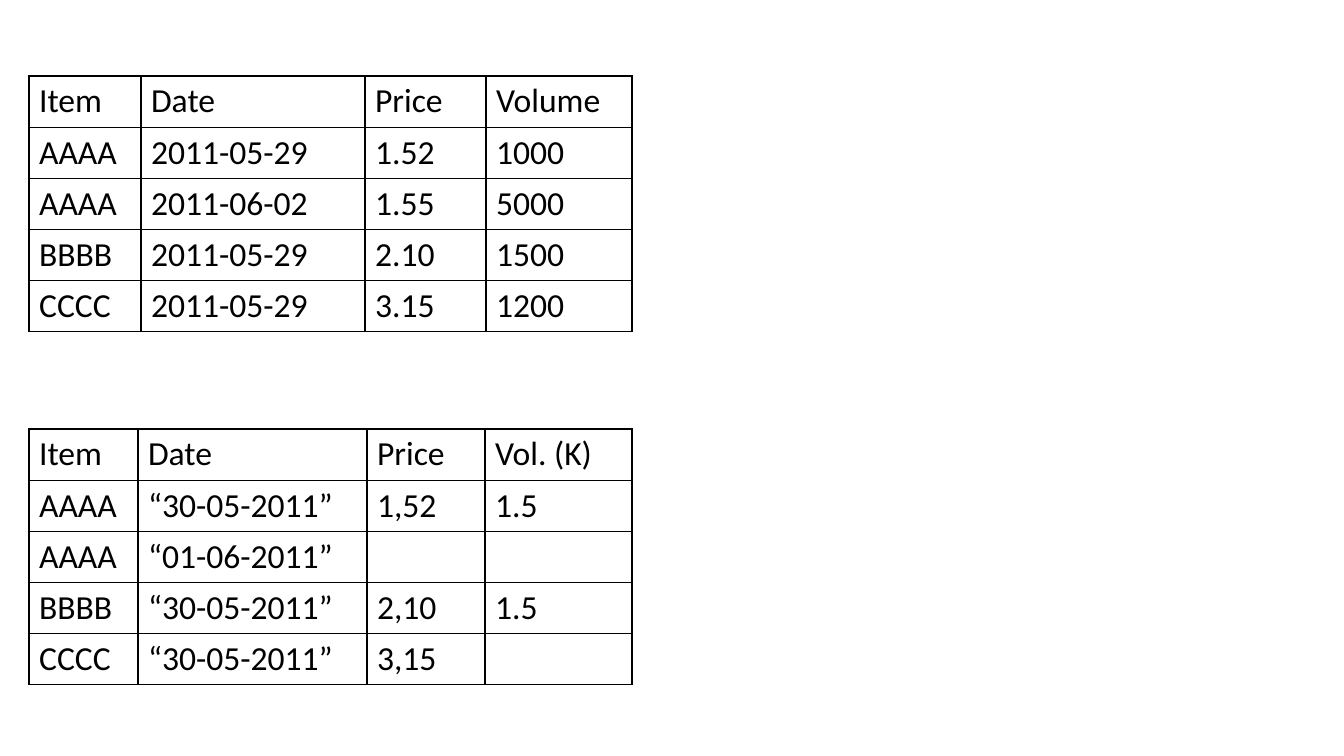
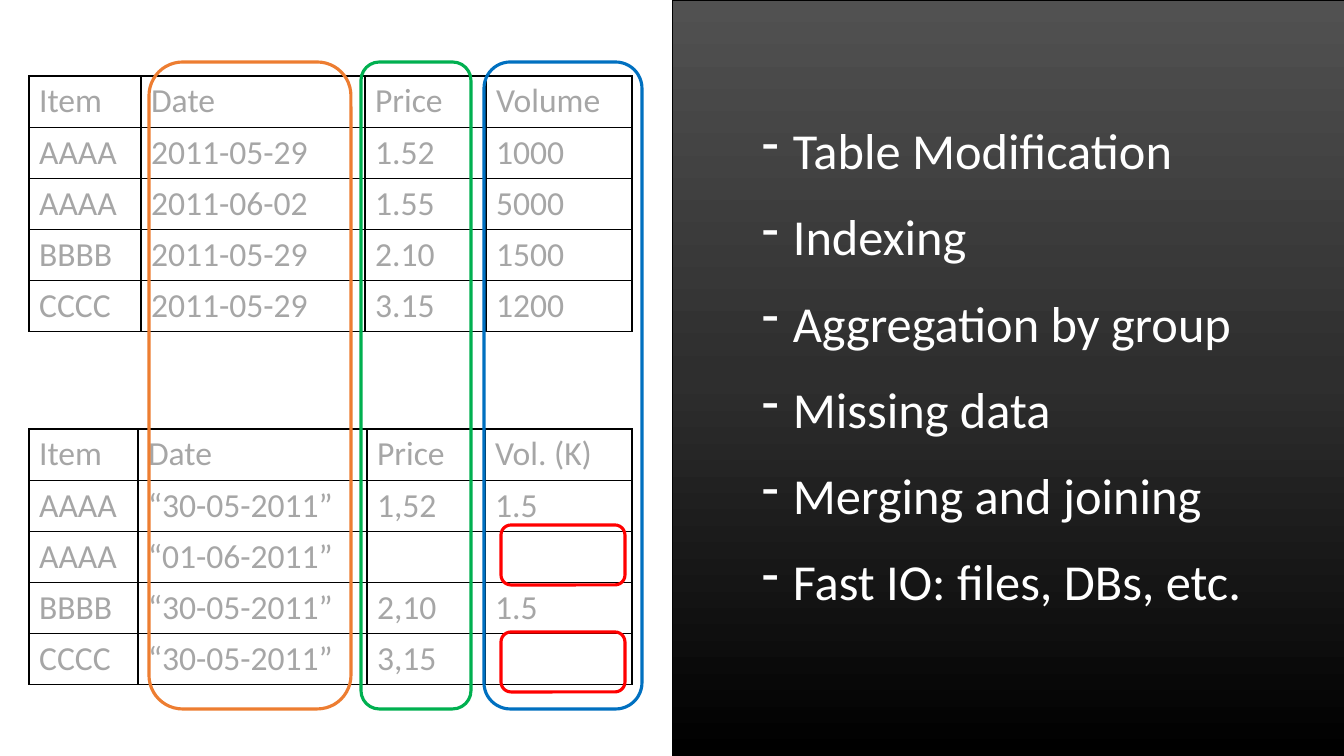
from copy import deepcopy

from pptx import Presentation
from pptx.dml.color import RGBColor
from pptx.enum.shapes import MSO_SHAPE as Shape
from pptx.enum.text import MSO_ANCHOR as Anchor
from pptx.oxml.ns import qn
from pptx.oxml.xmlchemy import OxmlElement as new_element
from pptx.util import Emu, Pt

# Colours
BLACK = RGBColor(0x00, 0x00, 0x00)
WHITE = RGBColor(0xFF, 0xFF, 0xFF)
FADED = RGBColor(0xA6, 0xA6, 0xA6)
ORANGE = RGBColor(0xED, 0x7D, 0x31)
GREEN = RGBColor(0x00, 0xB0, 0x50)
BLUE = RGBColor(0x00, 0x70, 0xC0)
RED = RGBColor(0xFF, 0x00, 0x00)
PANEL_STOPS = [
    (0, RGBColor(0x51, 0x51, 0x51)),
    (0.5, RGBColor(0x2E, 0x2E, 0x2E)),
    (1, BLACK),
]

FONT = "Calibri"
WIDTH, HEIGHT = 1344, 756
TABLE_LEFT, ROW_HEIGHT = 29, 51


def px(pixels):
    return Emu(round(pixels * 914400 / 100.8))


def write(paragraph, text, size=24, color=BLACK):
    run = paragraph.add_run()
    run.text = text
    run.font.name = FONT
    run.font.size = Pt(size)
    run.font.color.rgb = color


def border_cell(cell, color=BLACK, width=1):
    properties = cell._tc.get_or_add_tcPr()
    for index, side in enumerate(("a:lnL", "a:lnR", "a:lnT", "a:lnB")):
        line = new_element(side)
        line.set("w", str(Pt(width)))
        fill = new_element("a:solidFill")
        value = new_element("a:srgbClr")
        value.set("val", str(color))
        fill.append(value)
        line.append(fill)
        properties.insert(index, line)


class Deck:
    def __init__(self):
        self.presentation = Presentation()
        self.presentation.slide_width = px(WIDTH)
        self.presentation.slide_height = px(HEIGHT)
        self.slide = None

    def add_slide(self):
        blank_layout = self.presentation.slide_layouts[6]
        self.slide = self.presentation.slides.add_slide(blank_layout)

    def add_box(self, kind, left, top, width, height, color, line_width):
        shape = self.slide.shapes.add_shape(
            kind, px(left), px(top), px(width), px(height))
        shape.shadow.inherit = False
        shape.fill.background()
        shape.line.color.rgb = color
        shape.line.width = Pt(line_width)
        return shape

    def add_panel(self, left):
        panel = self.add_box(
            Shape.RECTANGLE, left, 0, WIDTH - left, HEIGHT, BLACK, 0.5)
        panel.fill.gradient()
        panel.fill.gradient_angle = 270
        # A new gradient has two stops; the panel needs a third
        first_stop = panel._element.spPr.find(".//" + qn("a:gs"))
        first_stop.addnext(deepcopy(first_stop))
        for stop, (position, color) in zip(panel.fill.gradient_stops, PANEL_STOPS):
            stop.position = position
            stop.color.rgb = color

    def add_frame(self, left, top, width, height, color):
        self.add_box(
            Shape.ROUNDED_RECTANGLE, left, top, width, height, color, 2.25)

    def add_table(self, top, widths, rows, color):
        table = self.slide.shapes.add_table(
            len(rows), len(widths), px(TABLE_LEFT), px(top),
            px(sum(widths)), px(ROW_HEIGHT * len(rows))).table
        table.first_row = False
        table.horz_banding = False
        for column, width in zip(table.columns, widths):
            column.width = px(width)
        for row, texts in zip(table.rows, rows):
            row.height = px(ROW_HEIGHT)
            for cell, text in zip(row.cells, texts):
                cell.fill.background()
                border_cell(cell)
                if text:
                    write(cell.text_frame.paragraphs[0], text, color=color)

    def add_bullets(self, left, top, width, height, items, gap, indent=31):
        box = self.slide.shapes.add_textbox(
            px(left), px(top), px(width), px(height))
        frame = box.text_frame
        frame.word_wrap = True
        frame.vertical_anchor = Anchor.MIDDLE
        for index, item in enumerate(items):
            paragraph = frame.add_paragraph() if index else frame.paragraphs[0]
            if index:
                paragraph.space_before = Pt(gap)
            properties = paragraph._p.get_or_add_pPr()
            properties.set("marL", str(px(indent)))
            properties.set("indent", str(px(-indent)))
            bullet = new_element("a:buChar")
            bullet.set("char", "-")
            properties.append(bullet)
            write(paragraph, item, size=36, color=WHITE)


# Tables shown on both slides: top, column widths, rows
TABLES = [
    (76, [112, 224, 121, 146], [
        ["Item", "Date", "Price", "Volume"],
        ["AAAA", "2011-05-29", "1.52", "1000"],
        ["AAAA", "2011-06-02", "1.55", "5000"],
        ["BBBB", "2011-05-29", "2.10", "1500"],
        ["CCCC", "2011-05-29", "3.15", "1200"],
    ]),
    (429, [109, 229, 118, 147], [
        ["Item", "Date", "Price", "Vol. (K)"],
        ["AAAA", "“30-05-2011”", "1,52", "1.5"],
        ["AAAA", "“01-06-2011”", "", ""],
        ["BBBB", "“30-05-2011”", "2,10", "1.5"],
        ["CCCC", "“30-05-2011”", "3,15", ""],
    ]),
]
TOPICS = [
    "Table Modification",
    "Indexing",
    "Aggregation by group",
    "Missing data",
    "Merging and joining",
    "Fast IO: files, DBs, etc.",
]

deck = Deck()

# Slide 1: the two tables
deck.add_slide()
for top, widths, rows in TABLES:
    deck.add_table(top, widths, rows, BLACK)

# Slide 2: faded tables beside the topics
deck.add_slide()
deck.add_panel(WIDTH // 2)
for top, widths, rows in TABLES:
    deck.add_table(top, widths, rows, FADED)
deck.add_bullets(752, 109, 631, 512, TOPICS, gap=18.4)

# Frames around matching columns
for left, width, color in [(149, 202, ORANGE), (361, 110, GREEN), (484, 158, BLUE)]:
    deck.add_frame(left, 62, width, 647, color)

# Frames around missing values
for top in (525, 632):
    deck.add_frame(501, top, 124, 60, RED)

deck.presentation.save("out.pptx")
